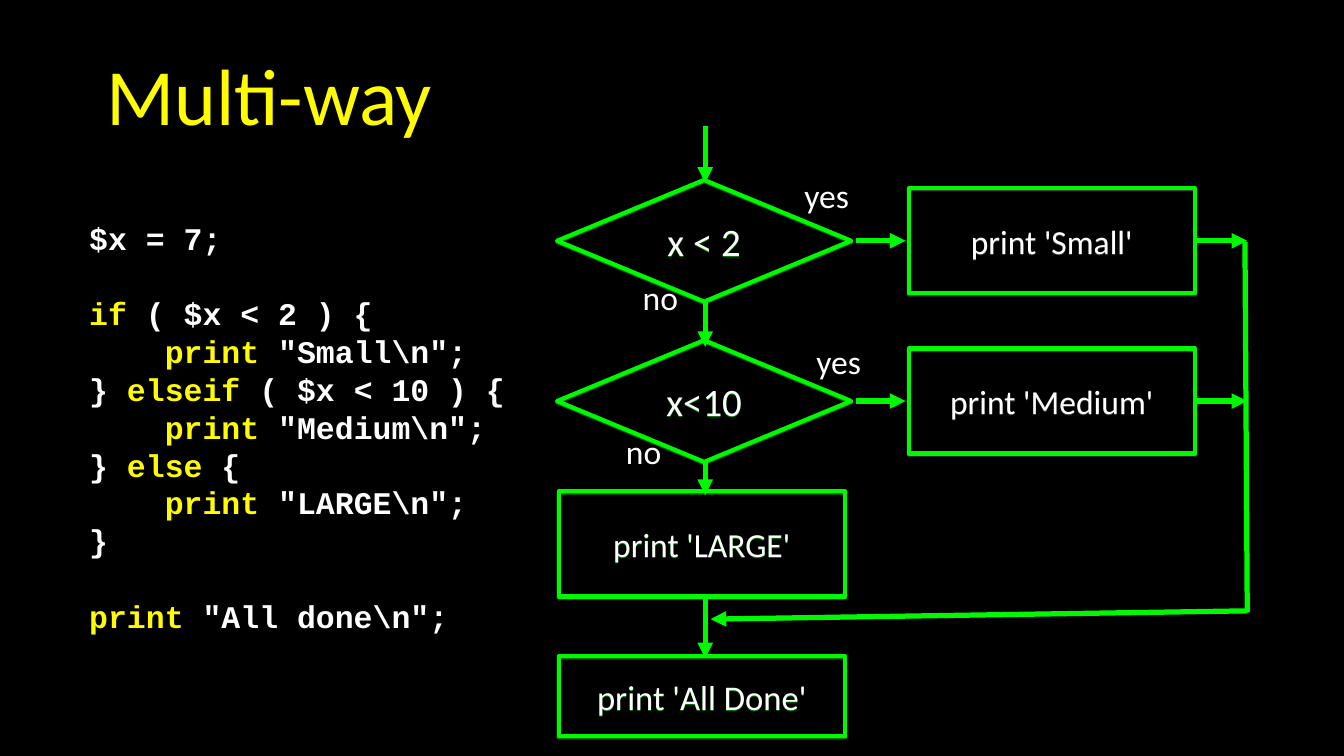
from lxml.etree import SubElement
from pptx import Presentation
from pptx.dml.color import RGBColor
from pptx.enum.shapes import MSO_CONNECTOR, MSO_SHAPE
from pptx.enum.text import MSO_ANCHOR, MSO_AUTO_SIZE, PP_ALIGN
from pptx.oxml.ns import qn
from pptx.util import Inches, Pt

COLORS = {
    "background": "000000",
    "text": "FFFFFF",
    "keyword": "FFFB00",
    "flow": "00F900",
    "gray": "808080",
}
KEYWORDS = {"if", "elseif", "else", "print"}
CODE = r'''$x = 7;

if ( $x < 2 ) {
    print "Small\n";
} elseif ( $x < 10 ) {
    print "Medium\n";
} else {
    print "LARGE\n";
}

print "All done\n";'''
CODE_LEADING = Pt(36)


def rgb(name):
    return RGBColor.from_string(COLORS[name])


def prepare_frame(frame, margin=0, wrap=True):
    frame.word_wrap = wrap
    frame.auto_size = MSO_AUTO_SIZE.NONE
    frame.vertical_anchor = MSO_ANCHOR.MIDDLE
    frame.margin_left = frame.margin_right = Inches(margin)
    frame.margin_top = frame.margin_bottom = Inches(margin)


def write_text(paragraph, text, size=32, font="Calibri", color="text",
               bold=False, align=PP_ALIGN.CENTER):
    paragraph.alignment = align
    run = paragraph.add_run()
    run.text = text
    run.font.size = Pt(size)
    run.font.name = font
    run.font.bold = bold
    run.font.color.rgb = rgb(color)


def add_shadow(shape, color):
    """Give the shape a half-transparent shadow one point below it."""
    shape.shadow.inherit = False
    effects = shape._element.spPr.find(qn("a:effectLst"))
    shadow = SubElement(effects, qn("a:outerShdw"), blurRad="0",
                        dist=str(Pt(1)), dir="5400000", rotWithShape="0")
    tint = SubElement(shadow, qn("a:srgbClr"), val=COLORS[color])
    SubElement(tint, qn("a:alpha"), val="50000")


def add_node(slide, kind, box, text, size=32, shadow="flow"):
    node = slide.shapes.add_shape(kind, *map(Inches, box))
    node.fill.background()
    node.line.color.rgb = rgb("flow")
    node.line.width = Pt(4)
    add_shadow(node, shadow)
    prepare_frame(node.text_frame, wrap=False)
    write_text(node.text_frame.paragraphs[0], text, size)


def add_label(slide, box, text):
    label = slide.shapes.add_textbox(*map(Inches, box))
    prepare_frame(label.text_frame, wrap=False)
    write_text(label.text_frame.paragraphs[0], text)


def add_flow_line(slide, start, end, arrow=True):
    line = slide.shapes.add_connector(
        MSO_CONNECTOR.STRAIGHT, *map(Inches, (*start, *end)))
    line.line.color.rgb = rgb("flow")
    line.line.width = Pt(5)
    if arrow:
        SubElement(line.line._get_or_add_ln(), qn("a:tailEnd"), type="triangle")
    SubElement(line._element.spPr, qn("a:effectLst"))


def add_title(slide, box):
    title = slide.shapes.title
    title.left, title.top, title.width, title.height = map(Inches, box)
    prepare_frame(title.text_frame, 0.04)
    write_text(title.text_frame.paragraphs[0], "Multi-way", 76, color="keyword")


def add_code(slide, box):
    """Place the listing with its keywords coloured."""
    frame = slide.shapes.add_textbox(*map(Inches, box)).text_frame
    prepare_frame(frame, 0.06)
    paragraph, after_gap = frame.paragraphs[0], False
    for number, line in enumerate(CODE.splitlines()):
        if not line:
            after_gap = True
            continue
        if number:
            paragraph = frame.add_paragraph()
        paragraph.line_spacing = CODE_LEADING
        paragraph.space_before = CODE_LEADING if after_gap else Pt(0)
        after_gap = False
        keyword = next((word for word in line.split() if word in KEYWORDS), None)
        before, word, rest = line.partition(keyword) if keyword else (line, "", "")
        for text, color in ((before, "text"), (word, "keyword"), (rest, "text")):
            if text:
                write_text(paragraph, text, 30, "Courier New", color,
                           bold=True, align=PP_ALIGN.LEFT)


def add_flowchart(slide, box):
    """Draw two tests, their branches and the shared last step."""
    left, top, width, height = box
    node_width, node_height = 3.79, 1.39
    test_width, test_height = 3.89, 1.61
    axis = left + 1.97
    branch_left = left + 4.66
    branch_right = branch_left + node_width
    merge_x = left + width
    merge_y = top + 6.47
    large_top = top + 4.83
    done_height = 1.06
    done_top = top + height - done_height

    tests = (
        ("x < 2", "print 'Small'", top + 0.71, (3.23, 0.6), (1.08, 1.96)),
        ("x<10", "print 'Medium'", top + 2.83, (3.39, 2.8), (0.86, 3.99)),
    )
    for test, action, test_top, yes, no in tests:
        middle = test_top + test_height / 2
        add_node(slide, MSO_SHAPE.DIAMOND,
                 (left + 0.01, test_top, test_width, test_height), test, 37)
        add_node(slide, MSO_SHAPE.RECTANGLE,
                 (branch_left, middle - node_height / 2, node_width, node_height),
                 action, shadow="gray")
        add_flow_line(slide, (left + 3.96, middle), (left + 4.62, middle))
        add_flow_line(slide, (branch_right + 0.03, middle), (merge_x, middle))
        add_label(slide, (left + yes[0], top + yes[1], 0.69, 0.61), "yes")
        add_label(slide, (left + no[0], top + no[1], 0.59, 0.61), "no")

    node_left = left + 0.03
    add_node(slide, MSO_SHAPE.RECTANGLE,
             (node_left, large_top, node_width, node_height), "print 'LARGE'")
    add_node(slide, MSO_SHAPE.RECTANGLE,
             (node_left, done_top, node_width, done_height), "print 'All Done'", 33)

    steps = ((0, 0.75), (2.31, 2.92), (4.43, 4.88), (6.23, 7.04))
    for start, end in steps:
        add_flow_line(slide, (axis, top + start), (axis, top + end))
    add_flow_line(slide, (merge_x - 0.03, top + 1.53), (merge_x, merge_y - 0.04),
                  arrow=False)
    add_flow_line(slide, (merge_x, merge_y - 0.06), (axis + 0.07, merge_y + 0.05))


def main():
    deck = Presentation()
    deck.slide_width, deck.slide_height = Inches(17.78), Inches(10)
    slide = deck.slides.add_slide(deck.slide_layouts.get_by_name("Title Only"))
    slide.background.fill.solid()
    slide.background.fill.fore_color.rgb = rgb("background")
    add_title(slide, (0.61, 0.33, 5.9, 1.81))
    add_code(slide, (1.12, 2.99, 5.88, 5.31))
    add_flowchart(slide, (7.36, 1.67, 9.14, 8.07))
    deck.save("out.pptx")


if __name__ == "__main__":
    main()
